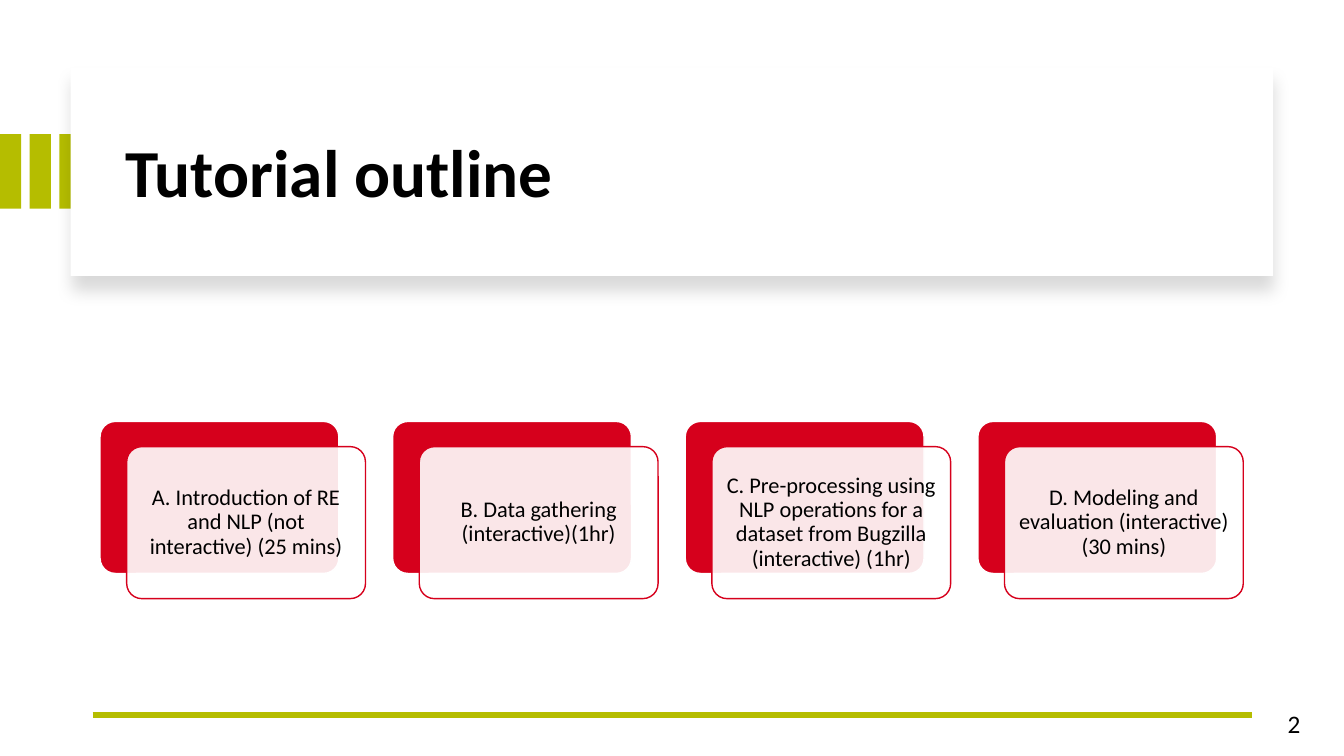
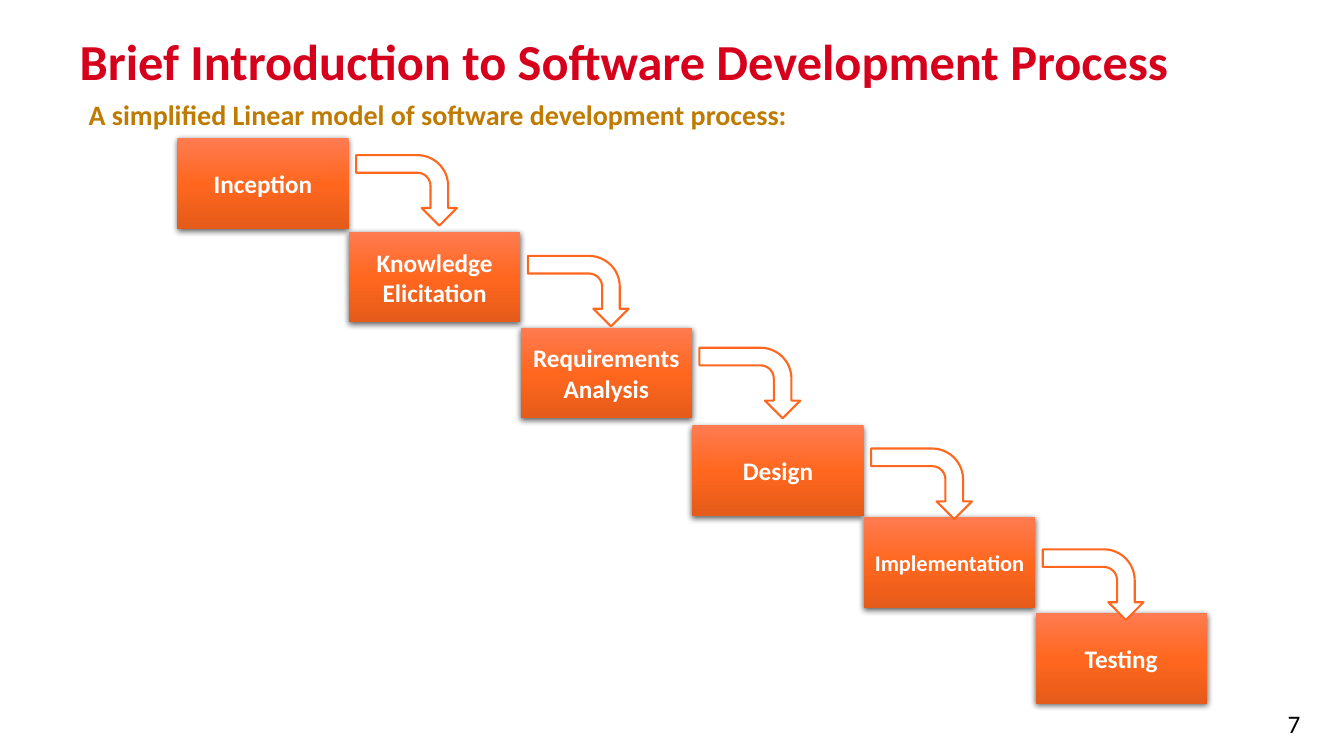
"""Build two tutorial slides: the outline and the linear development process."""
from lxml import etree
from pptx import Presentation
from pptx.dml.color import RGBColor
from pptx.enum.shapes import MSO_CONNECTOR, MSO_SHAPE
from pptx.enum.text import MSO_ANCHOR, MSO_AUTO_SIZE, PP_ALIGN
from pptx.oxml.ns import qn
from pptx.util import Pt

FONT = "Calibri"
BLACK = RGBColor(0x00, 0x00, 0x00)
WHITE = RGBColor(0xFF, 0xFF, 0xFF)
LIME = RGBColor(0xB5, 0xBD, 0x00)
RED = RGBColor(0xD6, 0x00, 0x1C)
BULLET_RED = RGBColor(0xE3, 0x27, 0x26)
OCHRE = RGBColor(0xBF, 0x7A, 0x00)
ORANGE = RGBColor(0xFF, 0x67, 0x1F)
ORANGE_LIGHT = RGBColor(0xFF, 0x7B, 0x51)
ORANGE_DARK = RGBColor(0xE5, 0x5B, 0x19)
STAGE_GRADIENT = [(0, ORANGE_LIGHT), (50, ORANGE), (100, ORANGE_DARK)]

SESSIONS = [
    "A. Introduction of RE and NLP (not interactive) (25 mins)",
    "B. Data gathering (interactive)(1hr)",
    "C. Pre-processing using NLP operations for a dataset from Bugzilla "
    "(interactive) (1hr)",
    "D. Modeling and evaluation (interactive) (30 mins)",
]
STAGES = [
    ("Inception", 98.6, 18),
    ("Knowledge Elicitation", 165.6, 18),
    ("Requirements Analysis", 234, 18),
    ("Design", 303.8, 18),
    ("Implementation", 369.4, 16),
    ("Testing", 437.8, 18),
]
ARROW_TOPS = [100, 172, 237.6, 309.6, 381.6]


def in_points(*lengths):
    """Turn plain numbers into point lengths."""
    return [Pt(length) for length in lengths]


def write(frame, text, size, color, bold=False, align=PP_ALIGN.LEFT,
          spacing=None, anchor=MSO_ANCHOR.TOP):
    """Fill a text frame with one formatted paragraph and return it."""
    frame.word_wrap = True
    frame.auto_size = MSO_AUTO_SIZE.NONE
    frame.vertical_anchor = anchor
    frame.text = text
    paragraph = frame.paragraphs[0]
    paragraph.alignment = align
    if spacing:
        paragraph.line_spacing = spacing
    font = paragraph.font
    font.name, font.size, font.bold = FONT, Pt(size), bold
    font.color.rgb = color
    return paragraph


def add_block(slide, kind, box, fill=None, outline=None, width=1):
    """Add a preset shape without a shadow."""
    block = slide.shapes.add_shape(kind, *in_points(*box))
    block.shadow.inherit = False
    if fill is not None:
        block.fill.solid()
        block.fill.fore_color.rgb = fill
    if outline is None:
        block.line.fill.background()
    else:
        block.line.color.rgb = outline
        block.line.width = Pt(width)
    return block


def add_color(parent, color, alpha):
    """Append a colour with an opacity in percent."""
    node = etree.SubElement(parent, qn("a:srgbClr"), val=str(color))
    if alpha < 100:
        etree.SubElement(node, qn("a:alpha"), val=str(alpha * 1000))


def drop_shadow(block, alpha, blur, distance):
    """Give a shape a black shadow falling straight down."""
    effects = block._element.spPr.find(qn("a:effectLst"))
    shadow = etree.SubElement(
        effects, qn("a:outerShdw"), blurRad=str(Pt(blur)),
        dist=str(Pt(distance)), dir="5400000", rotWithShape="0")
    add_color(shadow, BLACK, alpha)


def fill_gradient(block, stops):
    """Fill a shape with a gradient running from top to bottom."""
    block.fill.gradient()
    block.fill.gradient_angle = 270
    stop_list = block._element.spPr.find(qn("a:gradFill")).find(qn("a:gsLst"))
    for stop in list(stop_list):
        stop_list.remove(stop)
    for position, color in stops:
        stop = etree.SubElement(stop_list, qn("a:gs"), pos=str(position * 1000))
        add_color(stop, color, 100)


def set_title(slide, text, box, size, color, spacing):
    """Place the title placeholder in front and format it."""
    title = slide.shapes.title
    slide.shapes._spTree.append(title._element)
    title.left, title.top, title.width, title.height = in_points(*box)
    write(title.text_frame, text, size, color, bold=True, spacing=spacing,
          anchor=MSO_ANCHOR.MIDDLE)


def add_page_number(slide, number):
    """Write the page number in the bottom right corner."""
    corner = slide.shapes.add_textbox(*in_points(720, 502.6, 216, 28.8))
    write(corner.text_frame, str(number), 18, BLACK, align=PP_ALIGN.RIGHT)


def add_bullet_line(slide, text, box):
    """Add a bold line of text with a round bullet."""
    holder = slide.shapes.add_textbox(*in_points(*box))
    paragraph = holder.text_frame.paragraphs[0]
    properties = paragraph._p.get_or_add_pPr()
    properties.set("marL", str(Pt(18)))
    properties.set("indent", str(Pt(-18)))
    add_color(etree.SubElement(properties, qn("a:buClr")), BULLET_RED, 100)
    etree.SubElement(properties, qn("a:buFont"), typeface="Arial")
    etree.SubElement(properties, qn("a:buChar"), char="•")
    write(holder.text_frame, text, 20, OCHRE, bold=True, spacing=0.9)


def add_rule(slide, left, right, y):
    """Draw the lime rule above the page edge."""
    rule = slide.shapes.add_connector(
        MSO_CONNECTOR.STRAIGHT, *in_points(left, y, right, y))
    rule.line.color.rgb = LIME
    rule.line.width = Pt(4.5)
    etree.SubElement(rule._element.spPr, qn("a:effectLst"))


def add_session_card(slide, left, top, text):
    """Add a red card with a translucent text card offset over it."""
    width, height = 170.6, 108.6
    front_box = (left + 19, top + 18, width, height)
    back = add_block(slide, MSO_SHAPE.ROUNDED_RECTANGLE,
                     (left, top, width, height), RED, WHITE)
    front = add_block(slide, MSO_SHAPE.ROUNDED_RECTANGLE, front_box, WHITE, RED)
    for card in (back, front):
        card.adjustments[0] = 0.1
    white = front._element.spPr.find(qn("a:solidFill"))[0]
    etree.SubElement(white, qn("a:alpha"), val="90000")
    frame = front.text_frame
    frame.margin_left = frame.margin_right = Pt(5)
    frame.margin_top = frame.margin_bottom = Pt(5)
    write(frame, text, 16, BLACK, align=PP_ALIGN.CENTER, spacing=0.9,
          anchor=MSO_ANCHOR.MIDDLE)


def add_stage(slide, left, top, label, size):
    """Add one orange stage of the process."""
    stage = add_block(slide, MSO_SHAPE.RECTANGLE, (left, top, 122.4, 64.8))
    fill_gradient(stage, STAGE_GRADIENT)
    drop_shadow(stage, 63, 4.5, 1.5)
    write(stage.text_frame, label, size, WHITE, bold=True,
          align=PP_ALIGN.CENTER, anchor=MSO_ANCHOR.MIDDLE)


def add_stage_arrow(slide, left, top):
    """Add a bent arrow leading down to the next stage."""
    arrow = add_block(slide, MSO_SHAPE.BENT_ARROW, (left, top, 50.4, 72),
                      WHITE, ORANGE, 1.5)
    arrow.rotation = 90


def build_outline(slide):
    """Build the tutorial outline slide."""
    for index in range(3):
        add_block(slide, MSO_SHAPE.RECTANGLE,
                  (21.2 * index, 95.8, 15.2, 53.2), LIME)
    panel = add_block(slide, MSO_SHAPE.RECTANGLE, (50.4, 48.2, 859, 149), WHITE)
    drop_shadow(panel, 15, 11, 10)
    set_title(slide, "Tutorial outline", (82.1, 64.1, 801.4, 122.4),
              48, BLACK, 0.9)
    add_rule(slide, 66.2, 894.2, 510.5)
    for index, session in enumerate(SESSIONS):
        add_session_card(slide, 71.5 + 209 * index, 301, session)
    add_page_number(slide, 2)


def build_process(slide):
    """Build the software development process slide."""
    first_left, step = 126.7, 122.6
    set_title(slide, "Brief Introduction to Software Development Process",
              (49.7, 15.1, 832.3, 60.5), 36, RED, Pt(38))
    add_bullet_line(
        slide, "A simplified Linear model of software development process:",
        (56.2, 69.1, 539.3, 69.1))
    for index, (label, top, size) in enumerate(STAGES):
        add_stage(slide, first_left + step * index, top, label, size)
    for index, top in enumerate(ARROW_TOPS):
        add_stage_arrow(slide, first_left + 138.5 + step * index, top)
    add_page_number(slide, 7)


def main():
    """Create the presentation and save it."""
    deck = Presentation()
    deck.slide_width, deck.slide_height = in_points(960, 540)
    title_only = deck.slide_layouts[5]
    for build in (build_outline, build_process):
        build(deck.slides.add_slide(title_only))
    deck.save("out.pptx")


if __name__ == "__main__":
    main()
